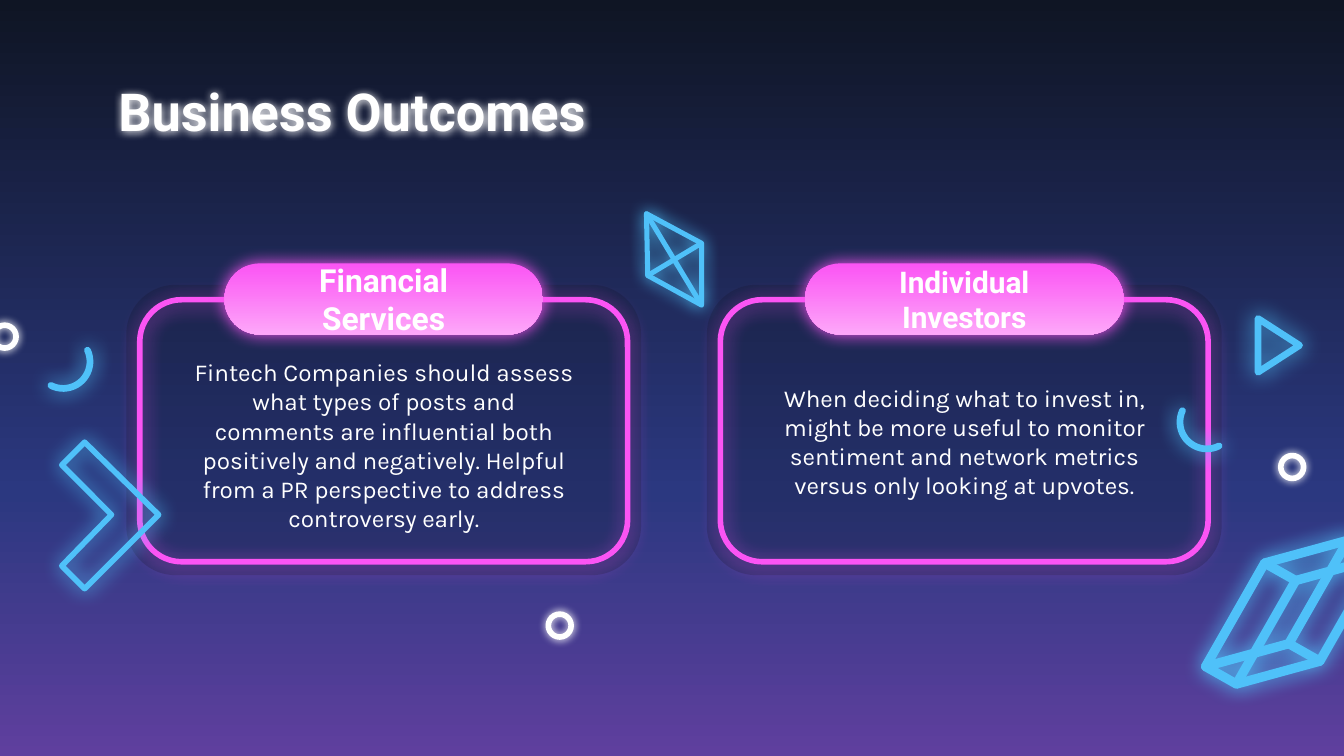
from dataclasses import dataclass
from math import cos, radians, sin

from lxml.etree import SubElement
from pptx import Presentation
from pptx.dml.color import RGBColor
from pptx.enum.shapes import MSO_SHAPE
from pptx.enum.text import MSO_ANCHOR, MSO_AUTO_SIZE, PP_ALIGN
from pptx.oxml.ns import qn
from pptx.util import Inches, Pt


@dataclass(frozen=True)
class Theme:
    white: str = "FFFFFF"
    blue: str = "4FC1F9"
    pink: str = "FB54F4"
    pale_pink: str = "FDA7F9"
    night: str = "0F1524"
    indigo: str = "2B3880"
    purple: str = "5F3F9E"
    heading_font: str = "Roboto"
    body_font: str = "Karla"
    title_size: int = 28
    body_size: int = 13
    stroke: int = 3


THEME = Theme()
WIDTH = 10
HEIGHT = WIDTH * 9 / 16
CARD_LEFT, CARD_TOP, CARD_STEP = 0.94, 1.96, 4.32

TITLE = "Business Outcomes"
CARDS = [
    {"label": "Financial Services", "label_size": 17, "body_box": (0.4, 0.6, 3.03, 1.45),
     "body": "Fintech Companies should assess what types of posts and comments are "
             "influential both positively and negatively. Helpful from a PR perspective "
             "to address controversy early."},
    {"label": "Individual Investors", "label_size": 16, "body_box": (0.4, 0.79, 3.03, 1.07),
     "body": "When deciding what to invest in, might be more useful to monitor sentiment "
             "and network metrics versus only looking at upvotes."},
]


def arc(center_x, center_y, start, end, radius=0.2, steps=20):
    angles = [radians(start + (end - start) * i / steps) for i in range(steps + 1)]
    return [(center_x + radius * cos(a), center_y + radius * sin(a)) for a in angles]


TRIANGLE = [(9.36, 2.37), (9.67, 2.57), (9.36, 2.77)]
CHEVRON = [(0.63, 3.29), (1.18, 3.83), (0.63, 4.38), (0.46, 4.21), (0.83, 3.83), (0.46, 3.46)]
DIAMOND = [(4.81, 1.59), (5.22, 1.81), (5.22, 2.27), (4.82, 2.05)]
PRISM = [(9.41, 4.19), (10.03, 4.02), (10.26, 4.15), (9.82, 4.92), (9.2, 5.09), (8.97, 4.96)]
PRISM_FRONT, PRISM_BACK = (9.64, 4.32), (9.59, 4.79)

BACK_OUTLINES = [
    {"contours": [(TRIANGLE, True)], "width": 3.6, "blur": 12.4},
    {"contours": [(PRISM, True)]
     + [([PRISM_FRONT, PRISM[i]], False) for i in (0, 2, 4)]
     + [([PRISM_BACK, PRISM[i]], False) for i in (1, 3, 5)], "width": 5, "blur": 11.2},
    {"contours": [(arc(0.47, 2.69, -25, 117), False)], "width": 3.6, "blur": 11.2},
]
FRONT_OUTLINES = [
    {"contours": [(CHEVRON, True)], "width": 3, "blur": 11.2},
    {"contours": [(arc(8.98, 3.14, 205, 63), False)], "width": 3.6, "blur": 11.2},
    {"contours": [(DIAMOND, True), (DIAMOND[::2], False), (DIAMOND[1::2], False)],
     "width": 2.7, "blur": 9},
]
BACK_RINGS = [(9.53, 3.39), (-0.05, 2.42)]
FRONT_RINGS = [(4.08, 4.57)]


def rgb(color):
    return RGBColor.from_string(color)


def glow(shape, color, blur, alpha=100, distance=0):
    shape.shadow.inherit = False
    effects = shape.element.spPr.find(qn("a:effectLst"))
    shadow = SubElement(effects, qn("a:outerShdw"), blurRad=str(Pt(blur)), dist=str(Pt(distance)),
                        dir="5400000", algn="ctr", rotWithShape="0")
    tint = SubElement(shadow, qn("a:srgbClr"), val=color)
    SubElement(tint, qn("a:alpha"), val=str(alpha * 1000))


def fade_down(owner, fill, stops):
    fill.gradient()
    fill.gradient_angle = 270
    stop_list = owner.element.find(".//" + qn("a:gsLst"))
    for stop in list(stop_list):
        stop_list.remove(stop)
    for position, color in stops:
        stop = SubElement(stop_list, qn("a:gs"), pos=str(position * 1000))
        SubElement(stop, qn("a:srgbClr"), val=color)


def stroke(shape, color, width):
    shape.fill.background()
    shape.line.color.rgb = rgb(color)
    shape.line.width = Pt(width)


def add_box(page, kind, box, corner=None):
    shape = page.shapes.add_shape(kind, *map(Inches, box))
    if corner is not None:
        shape.adjustments[0] = corner
    shape.line.fill.background()
    shape.shadow.inherit = False
    return shape


def add_outline(page, contours, width, blur):
    builder = None
    for points, closed in contours:
        points = [(Inches(x), Inches(y)) for x, y in points]
        if builder is None:
            builder = page.shapes.build_freeform(*points[0], scale=1.0)
        else:
            builder.move_to(*points[0])
        builder.add_line_segments(points[1:], close=closed)
    shape = builder.convert_to_shape()
    stroke(shape, THEME.blue, width)
    line = shape.element.spPr.find(qn("a:ln"))
    line.set("cap", "rnd")
    SubElement(line, qn("a:round"))
    glow(shape, THEME.blue, blur)


def add_decor(page, outlines, rings):
    for outline in outlines:
        add_outline(page, **outline)
    for left, top in rings:
        ring = add_box(page, MSO_SHAPE.OVAL, (left, top, 0.17, 0.17))
        stroke(ring, THEME.white, THEME.stroke)
        glow(ring, THEME.white, 4.5)


def card_box(column, box):
    left, top, width, height = box
    return CARD_LEFT + column * CARD_STEP + left, CARD_TOP + top, width, height


def add_card(page, column):
    panel = add_box(page, MSO_SHAPE.ROUNDED_RECTANGLE, card_box(column, (0, 0.16, 3.83, 2.16)), 0.17)
    panel.fill.solid()
    panel.fill.fore_color.rgb = rgb(THEME.night)
    tint = panel.element.spPr.find(qn("a:solidFill"))[0]
    SubElement(tint, qn("a:alpha"), val="24000")

    frame = add_box(page, MSO_SHAPE.ROUNDED_RECTANGLE, card_box(column, (0.1, 0.27, 3.63, 1.95)), 0.16)
    stroke(frame, THEME.pink, THEME.stroke)
    glow(frame, THEME.pink, 11.2, alpha=62, distance=1.5)

    pill = add_box(page, MSO_SHAPE.ROUNDED_RECTANGLE, card_box(column, (0.73, 0, 2.37, 0.53)), 0.5)
    fade_down(pill, pill.fill, [(0, THEME.pink), (100, THEME.pale_pink)])
    glow(pill, THEME.pink, 9)


def write(holder, text, box, font, size, bold=False, align=PP_ALIGN.CENTER, anchor=MSO_ANCHOR.TOP):
    holder.left, holder.top, holder.width, holder.height = map(Inches, box)
    holder.element.getparent().append(holder.element)
    frame = holder.text_frame
    frame.text = text
    frame.word_wrap = True
    frame.auto_size = MSO_AUTO_SIZE.NONE
    frame.vertical_anchor = anchor
    frame.margin_left = frame.margin_right = frame.margin_top = frame.margin_bottom = Inches(0.1)
    para = frame.paragraphs[0]
    para.alignment = align
    para.space_before = Pt(0)
    para.font.name, para.font.size, para.font.bold = font, Pt(size), bold
    para.font.color.rgb = rgb(THEME.white)
    properties = para._p.get_or_add_pPr()
    properties.set("marL", "0")
    properties.set("indent", "0")
    bullet = SubElement(properties, qn("a:buNone"))
    properties.find(qn("a:defRPr")).addprevious(bullet)


def main():
    deck = Presentation()
    deck.slide_width, deck.slide_height = Inches(WIDTH), Inches(HEIGHT)
    page = deck.slides.add_slide(deck.slide_layouts.get_by_name("Comparison"))
    fade_down(page, page.background.fill,
              [(0, THEME.night), (65, THEME.indigo), (100, THEME.purple)])
    title, *holders = page.placeholders

    add_decor(page, BACK_OUTLINES, BACK_RINGS)
    for column in reversed(range(len(CARDS))):
        add_card(page, column)
    add_decor(page, FRONT_OUTLINES, FRONT_RINGS)

    write(title, TITLE, (0.78, 0.49, 8.44, 0.63), THEME.heading_font, THEME.title_size,
          bold=True, align=PP_ALIGN.LEFT)
    glow(title, THEME.white, 4.5)
    for column, card in enumerate(CARDS):
        label, body = holders[2 * column:2 * column + 2]
        write(label, card["label"], card_box(column, (1.17, 0, 1.49, 0.53)), THEME.heading_font,
              card["label_size"], bold=True, anchor=MSO_ANCHOR.MIDDLE)
        write(body, card["body"], card_box(column, card["body_box"]), THEME.body_font,
              THEME.body_size)
    deck.save("out.pptx")


if __name__ == "__main__":
    main()
